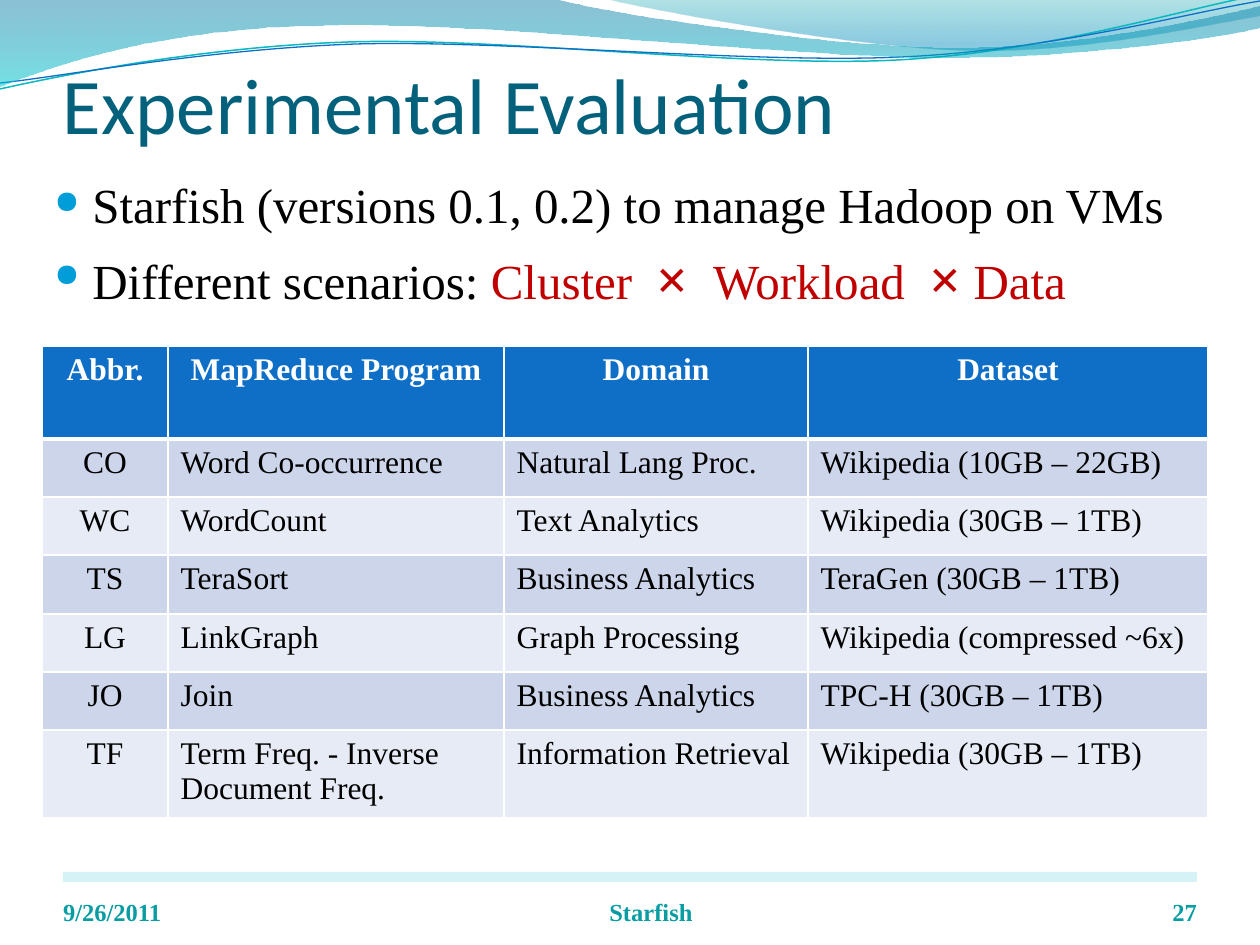
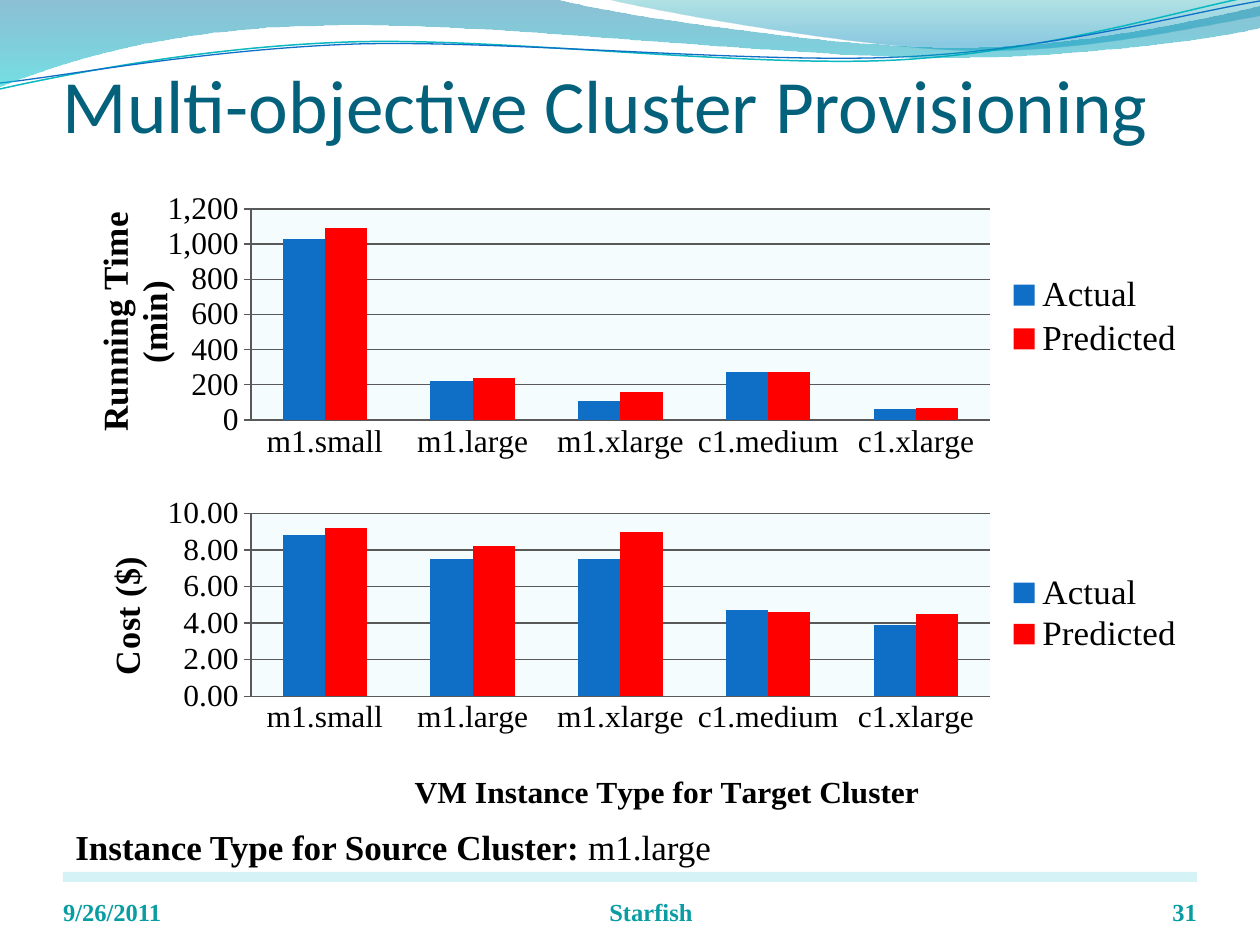
from dataclasses import dataclass

from lxml.etree import SubElement
from pptx import Presentation
from pptx.chart.data import CategoryChartData
from pptx.dml.color import RGBColor
from pptx.enum.chart import XL_CHART_TYPE, XL_LEGEND_POSITION, XL_TICK_MARK
from pptx.enum.shapes import MSO_SHAPE
from pptx.enum.text import MSO_ANCHOR, PP_ALIGN
from pptx.oxml.ns import qn
from pptx.util import Emu, Pt

PX = 914400 / 126  # EMU per px


@dataclass(frozen=True)
class Theme:
    heading_font: str = "Calibri"
    body_font: str = "Times New Roman"
    title: str = "04617B"
    footer: str = "089CA3"
    black: str = "000000"
    white: str = "FFFFFF"
    accent: str = "C00000"
    bullet: str = "009DD9"
    blue: str = "0F6FC6"
    red: str = "FF0000"
    teal: str = "0AB8BF"
    rule: str = "B3EAF2"
    plot: str = "DBF5F9"
    axis: str = "595959"
    row_dark: str = "CCD5EA"
    row_light: str = "E7EBF5"
    footer_size: int = 14
    table_size: int = 18
    label_size: int = 20
    body_size: int = 28
    times_size: int = 32


T = Theme()
LEFT, CENTER, RIGHT = PP_ALIGN.LEFT, PP_ALIGN.CENTER, PP_ALIGN.RIGHT


def emu(*lengths):
    """Turn lengths in px into EMU."""
    return [Emu(round(n * PX)) for n in lengths]


def add_text(slide, box, paragraphs, font=T.body_font, align=LEFT,
             anchor=MSO_ANCHOR.TOP, margins=None):
    """Add a text box; each paragraph is a list of (text, size, colour, bold)."""
    tf = slide.shapes.add_textbox(*emu(*box)).text_frame
    tf.word_wrap = True
    tf.vertical_anchor = anchor
    if margins:
        tf.margin_left, tf.margin_top, tf.margin_right, tf.margin_bottom = emu(*margins)
    for i, runs in enumerate(paragraphs):
        p = tf.add_paragraph() if i else tf.paragraphs[0]
        p.alignment = align
        for text, size, color, bold in runs:
            r = p.add_run()
            r.text = text
            r.font.name, r.font.size, r.font.bold = font, Pt(size), bold
            r.font.color.rgb = RGBColor.from_string(color)
    return tf


prs = Presentation()
prs.slide_width, prs.slide_height = emu(1260, 945)

# Waves: start, then segments of one point (line) or three points (Bezier curve).
# Fills list (position, colour, opacity %); strokes are (colour, width in pt).
waves = [
    dict(start=(604, -1), fill=[(0, "00A1A9", 30), (0.8, "008BBF", 45)], segments=[
        [(641, 9), (859, 48), (969, 50)], [(1079, 53), (1211, 24), (1260, 16)],
        [(1260, 0)]]),
    dict(start=(0, 89), stroke=(T.teal, 0.85), segments=[
        [(59, 76), (199, 47), (349, 42)], [(499, 37), (746, 68), (897, 60)],
        [(1048, 52), (1183, 9), (1259, -5)]]),
    dict(start=(0, 83), stroke=(T.blue, 0.75), segments=[
        [(59, 77), (207, 49), (357, 44)], [(508, 40), (752, 64), (902, 57)],
        [(1053, 50), (1187, 13), (1260, 1)]]),
    dict(start=(0, -1), fill=[(0, "0074A1", 45), (1, "00C6CF", 55)], segments=[
        [(554, -1)], [(600, 13), (837, 48), (955, 48)],
        [(1075, 48), (1207, 19), (1260, 6)], [(1260, 28)],
        [(1239, 34), (1096, 58), (940, 58)], [(784, 58), (481, 21), (324, 26)],
        [(163, 28), (58, 64), (0, 87)]]),
]

pages = [("Experimental Evaluation", 45, "27"),
         ("Multi-objective Cluster Provisioning", 43, "31")]
slides = []
for title, title_size, number in pages:
    s = prs.slides.add_slide(prs.slide_layouts[6])
    slides.append(s)

    rule = s.shapes.add_shape(MSO_SHAPE.RECTANGLE, *emu(63, 872, 1134, 10))
    rule.shadow.inherit = False
    rule.line.fill.background()
    rule.fill.solid()
    rule.fill.fore_color.rgb = RGBColor.from_string(T.rule)
    for color in rule._element.spPr.iter(qn("a:srgbClr")):
        SubElement(color, qn("a:alpha"), val="55000")

    for wave in waves:
        builder = s.shapes.build_freeform(*emu(*wave["start"]))
        builder.add_line_segments(
            [emu(*pt) for segment in wave["segments"] for pt in segment],
            close="fill" in wave)
        sp = builder.convert_to_shape()
        sp.shadow.inherit = False
        # Join each group of three points into one Bezier curve.
        outline = next(sp._element.iter(qn("a:path")))
        lines = iter(outline.findall(qn("a:lnTo")))
        for segment in wave["segments"]:
            group = [next(lines) for _ in segment]
            if len(group) == 3:
                curve = SubElement(outline, qn("a:cubicBezTo"))
                group[0].addprevious(curve)
                for line in group:
                    curve.append(line[0])
                    outline.remove(line)
        if "fill" in wave:
            sp.line.fill.background()
            sp.fill.gradient()
            sp.fill.gradient_angle = 270
            for stop, (position, color, _) in zip(sp.fill.gradient_stops, wave["fill"]):
                stop.position = position
                stop.color.rgb = RGBColor.from_string(color)
            for color, (_, _, opacity) in zip(sp._element.spPr.iter(qn("a:srgbClr")),
                                              wave["fill"]):
                SubElement(color, qn("a:alpha"), val=str(opacity * 1000))
        else:
            color, width = wave["stroke"]
            sp.fill.background()
            sp.line.color.rgb = RGBColor.from_string(color)
            sp.line.width = Pt(width)

    add_text(s, (63, 42, 1134, 116), [[(title, title_size, T.title, False)]],
             T.heading_font, anchor=MSO_ANCHOR.MIDDLE, margins=(0, 6, 0, 0))
    for text, left, width, align in [("9/26/2011", 63, 294, LEFT),
                                     ("Starfish", 420, 462, CENTER),
                                     (number, 1092, 105, RIGHT)]:
        add_text(s, (left, 876, width, 50), [[(text, T.footer_size, T.footer, True)]],
                 align=align, anchor=MSO_ANCHOR.BOTTOM, margins=(0, 0, 0, 0))

evaluation, provisioning = slides

# Evaluation: scenarios and the table of programs
times = ("×", T.times_size, T.accent, True)
gap = (" ", T.body_size, T.accent, False)
tf = add_text(evaluation, (42, 168, 1207, 189), [
    [("Starfish (versions 0.1, 0.2) to manage Hadoop on VMs", T.body_size, T.black, False)],
    [("Different scenarios: ", T.body_size, T.black, False),
     ("Cluster", T.body_size, T.accent, False), gap, times, gap,
     ("Workload", T.body_size, T.accent, False), gap, times,
     (" Data", T.body_size, T.accent, False)]])
indent, = emu(38)
for p in tf.paragraphs:
    pPr = p._p.get_or_add_pPr()
    pPr.set("marL", str(indent))
    pPr.set("indent", str(-indent))
    SubElement(SubElement(pPr, qn("a:buClr")), qn("a:srgbClr"), val=T.bullet)
    SubElement(pPr, qn("a:buSzPct"), val="65000")
    SubElement(pPr, qn("a:buChar"), char="●")
    for r in p.runs:
        if r.text == " ":
            r._r.get_or_add_rPr().set("spc", "700")
tf.paragraphs[1].space_before = Pt(6)

programs = [
    ("Abbr.", "MapReduce Program", "Domain", "Dataset"),
    ("CO", "Word Co-occurrence", "Natural Lang Proc.", "Wikipedia (10GB – 22GB)"),
    ("WC", "WordCount", "Text Analytics", "Wikipedia (30GB – 1TB)"),
    ("TS", "TeraSort", "Business Analytics", "TeraGen (30GB – 1TB)"),
    ("LG", "LinkGraph", "Graph Processing", "Wikipedia (compressed ~6x)"),
    ("JO", "Join", "Business Analytics", "TPC-H (30GB – 1TB)"),
    ("TF", "Term Freq. - Inverse Document Freq.", "Information Retrieval",
     "Wikipedia (30GB – 1TB)"),
]
table = evaluation.shapes.add_table(len(programs), 4, *emu(42, 346, 1166, 472)).table
for column, width in zip(table.columns, emu(126, 336, 304, 400)):
    column.width = width
for row, height in zip(table.rows, emu(93, 58, 58, 59, 58, 58, 88)):
    row.height = height
for i, program in enumerate(programs):
    header = i == 0
    fill = T.blue if header else T.row_dark if i % 2 else T.row_light
    for j, text in enumerate(program):
        cell = table.cell(i, j)
        tcPr = cell._tc.get_or_add_tcPr()
        for side in ("lnL", "lnR", "lnT", "lnB"):
            heavy = (i, side) in ((0, "lnB"), (1, "lnT"))
            ln = SubElement(tcPr, qn(f"a:{side}"), w=str(Pt(3 if heavy else 1)))
            SubElement(SubElement(ln, qn("a:solidFill")), qn("a:srgbClr"), val=T.white)
        cell.fill.solid()
        cell.fill.fore_color.rgb = RGBColor.from_string(fill)
        cell.text_frame.text = text
        p = cell.text_frame.paragraphs[0]
        p.alignment = CENTER if header or j == 0 else LEFT
        font = p.runs[0].font
        font.name, font.size, font.bold = T.body_font, Pt(T.table_size), header
        font.color.rgb = RGBColor.from_string(T.white if header else T.black)

# Provisioning: running time above cost; places inside a chart are px from its corner
CHART_SIZE = (1134, 325)
instance_types = ["m1.small", "m1.large", "m1.xlarge", "c1.medium", "c1.xlarge"]
charts = [
    dict(top=189, maximum=1200, unit=200, format="#,##0",
         value_title=("Running Time (min)", (23, 17)), category_title=None,
         plot=(188, 20, 739, 211), legend=(942, 82, 180, 92),
         actual=[1030, 220, 110, 270, 60], predicted=[1090, 240, 160, 270, 70]),
    dict(top=494, maximum=10, unit=2, format="0.00",
         value_title=("Cost ($)", (35, 61)),
         category_title=("VM Instance Type for Target Cluster", (346, 281)),
         plot=(188, 20, 739, 188), legend=(942, 79, 180, 88),
         actual=[8.8, 7.5, 7.5, 4.7, 3.9], predicted=[9.2, 8.2, 9, 4.6, 4.5]),
]
for c in charts:
    data = CategoryChartData()
    data.categories = instance_types
    data.add_series("Actual", c["actual"])
    data.add_series("Predicted", c["predicted"])
    chart = provisioning.shapes.add_chart(
        XL_CHART_TYPE.COLUMN_CLUSTERED, *emu(63, c["top"], *CHART_SIZE), data).chart
    chart.has_title = False
    chart.font.name, chart.font.size = T.body_font, Pt(T.table_size)
    chart.font.color.rgb = RGBColor.from_string(T.black)
    chart.has_legend = True
    chart.legend.position = XL_LEGEND_POSITION.RIGHT
    chart.legend.include_in_layout = False
    chart.legend.font.size = Pt(T.label_size)

    bars = chart.plots[0]
    bars.gap_width, bars.overlap, bars.vary_by_categories = 150, 0, False
    for series, color in zip(bars.series, (T.blue, T.red)):
        series.format.fill.solid()
        series.format.fill.fore_color.rgb = RGBColor.from_string(color)

    values, categories = chart.value_axis, chart.category_axis
    values.minimum_scale, values.maximum_scale = 0, c["maximum"]
    values.major_unit = c["unit"]
    values.has_major_gridlines = True
    values.major_tick_mark = XL_TICK_MARK.OUTSIDE
    categories.major_tick_mark = XL_TICK_MARK.NONE
    values.tick_labels.number_format = c["format"]
    values.tick_labels.number_format_is_linked = False
    for line in (values.major_gridlines.format.line, values.format.line,
                 categories.format.line):
        line.color.rgb = RGBColor.from_string(T.axis)
        line.width = Pt(0.75)

    area = chart._chartSpace.chart.plotArea
    placed = [(area, 0, c["plot"]), (chart.legend._element, 1, c["legend"])]
    for axis, axis_title, size in [(values, c["value_title"], T.label_size),
                                   (categories, c["category_title"], T.table_size)]:
        axis.tick_labels.font.size = Pt(T.table_size)
        axis.has_title = axis_title is not None
        if axis_title:
            text, corner = axis_title
            tf = axis.axis_title.text_frame
            tf.text = text
            font = tf.paragraphs[0].runs[0].font
            font.name, font.size, font.bold = T.body_font, Pt(size), True
            font.color.rgb = RGBColor.from_string(T.black)
            placed.append((axis.axis_title._element, 1, corner))

    for element, index, place in placed:
        for layout in element.findall(qn("c:layout")):
            element.remove(layout)
        layout = SubElement(element, qn("c:layout"))
        element.insert(index, layout)
        manual = SubElement(layout, qn("c:manualLayout"))
        if element is area:
            SubElement(manual, qn("c:layoutTarget"), val="inner")
        for tag in ("xMode", "yMode"):
            SubElement(manual, qn(f"c:{tag}"), val="edge")
        for tag, length, whole in zip("xywh", place, CHART_SIZE * 2):
            SubElement(manual, qn(f"c:{tag}"), val=str(length / whole))
    solid = SubElement(SubElement(area, qn("c:spPr")), qn("a:solidFill"))
    color = SubElement(solid, qn("a:srgbClr"), val=T.plot)
    SubElement(color, qn("a:alpha"), val="25000")

add_text(provisioning, (63, 819, 766, 55), [
    [("Instance Type for Source Cluster: ", T.label_size, T.black, True),
     ("m1.large", T.label_size, T.black, False)]])

prs.save("out.pptx")
